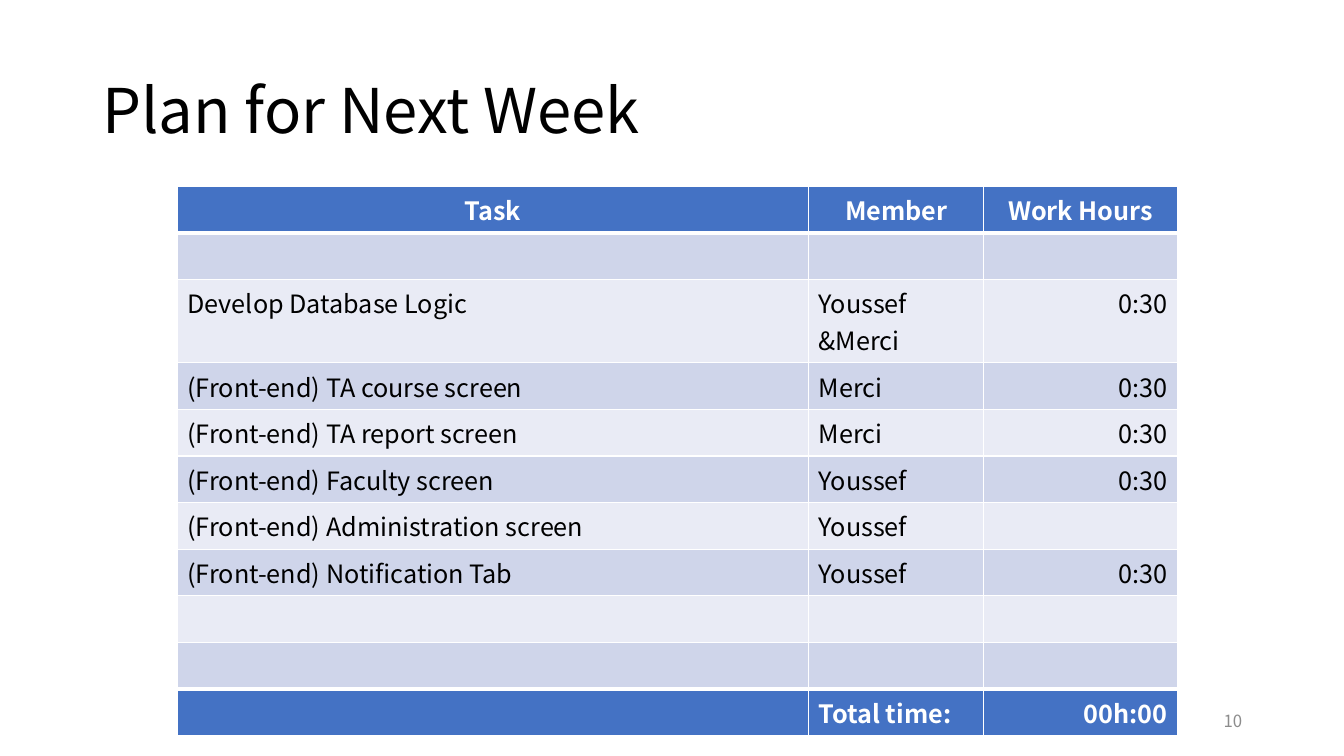
from dataclasses import dataclass
from typing import Any

from lxml.etree import SubElement
from pptx import Presentation
from pptx.dml.color import RGBColor
from pptx.enum.text import MSO_ANCHOR as Anchor, PP_ALIGN as Align
from pptx.oxml.ns import qn
from pptx.util import Inches, Pt

FONT = "Noto Sans CJK JP"
BLACK, WHITE, GRAY, BLUE = "000000", "FFFFFF", "8C8C8C", "4472C4"
BANDS = ("CFD5EA", "E9EBF5")

prs = Presentation()
prs.slide_width, prs.slide_height = Inches(13.33), Inches(7.5)


@dataclass(frozen=True)
class Area:
    left: float
    top: float
    width: float
    height: float


@dataclass(frozen=True)
class Label:
    text: str
    area: Area
    align: Align
    format: dict[str, Any]
    color: str
    line_spacing: float


@dataclass(frozen=True)
class Task:
    name: str = ""
    member: str = ""
    hours: str = ""

    def values(self) -> tuple[str, str, str]:
        return self.name, self.member, self.hours


LABELS = (
    Label("Plan for Next Week", Area(6.88, 5.33, 86.25, 19.33), Align.LEFT,
          {"size": Pt(44)}, BLACK, 0.9),
    Label("10", Area(70.67, 92.67, 22.5, 5.33), Align.RIGHT,
          {"size": Pt(12)}, GRAY, 1.0),
)
TABLE_LEFT, TABLE_TOP, ROW_HEIGHT = 13.2, 24.67, 5.47
COLUMNS = (46.96, 13.05, 14.4)
ALIGNS = (Align.LEFT, Align.LEFT, Align.RIGHT)
TASKS = (
    Task("Task", "Member", "Work Hours"),
    Task(),
    Task("Develop Database Logic", "Youssef &Merci", "0:30"),
    Task("(Front-end) TA course screen", "Merci", "0:30"),
    Task("(Front-end) TA report screen", "Merci", "0:30"),
    Task("(Front-end) Faculty screen", "Youssef", "0:30"),
    Task("(Front-end) Administration screen", "Youssef"),
    Task("(Front-end) Notification Tab", "Youssef", "0:30"),
    Task(),
    Task(),
    Task("", "Total time:", "00h:00"),
)


def across(percent: float) -> int:
    return round(prs.slide_width * percent / 100)


def down(percent: float) -> int:
    return round(prs.slide_height * percent / 100)


def rgb(color: str) -> RGBColor:
    return RGBColor.from_string(color)


def write(p: Any, text: str, color: str, align: Align, values: dict[str, Any]) -> None:
    p.alignment = align
    r = p.add_run()
    r.text = text
    for key, value in {"name": FONT, **values}.items():
        setattr(r.font, key, value)
    r.font.color.rgb = rgb(color)


def add_label(slide: Any, label: Label) -> None:
    a = label.area
    sp = slide.shapes.add_textbox(
        across(a.left), down(a.top), across(a.width), down(a.height))
    tf = sp.text_frame
    tf.word_wrap = True
    tf.vertical_anchor = Anchor.MIDDLE
    p = tf.paragraphs[0]
    p.line_spacing = label.line_spacing
    write(p, label.text, label.color, label.align, label.format)


def add_borders(cell: Any, top: int, bottom: int) -> None:
    tc_pr = cell._tc.get_or_add_tcPr()
    for side, width in {"L": 1, "R": 1, "T": top, "B": bottom}.items():
        ln = SubElement(tc_pr, qn(f"a:ln{side}"), w=str(Pt(width)))
        fill = SubElement(ln, qn("a:solidFill"))
        SubElement(fill, qn("a:srgbClr"), val=WHITE)


def size_empty(p: Any) -> None:
    end = SubElement(p._p, qn("a:endParaRPr"), sz="1800")
    SubElement(end, qn("a:latin"), typeface=FONT)


def add_plan(slide: Any) -> None:
    last = len(TASKS) - 1
    table = slide.shapes.add_table(
        len(TASKS), len(COLUMNS), across(TABLE_LEFT), down(TABLE_TOP),
        across(sum(COLUMNS)), down(ROW_HEIGHT * len(TASKS))).table
    for column, width in zip(table.columns, COLUMNS):
        column.width = across(width)
    for i, task in enumerate(TASKS):
        table.rows[i].height = down(ROW_HEIGHT)
        strong = i in (0, last)
        for j, text in enumerate(task.values()):
            cell = table.cell(i, j)
            add_borders(cell, 3 if i in (1, last) else 1,
                        3 if i in (0, last - 1) else 1)
            cell.fill.solid()
            cell.fill.fore_color.rgb = rgb(BLUE if strong else BANDS[(i - 1) % 2])
            p = cell.text_frame.paragraphs[0]
            if text:
                write(p, text, WHITE if strong else BLACK,
                      Align.CENTER if i == 0 else ALIGNS[j],
                      {"size": Pt(18), "bold": strong})
            else:
                size_empty(p)


def main() -> None:
    slide = prs.slides.add_slide(prs.slide_layouts[6])
    add_plan(slide)
    for label in LABELS:
        add_label(slide, label)
    prs.save("out.pptx")


if __name__ == "__main__":
    main()
